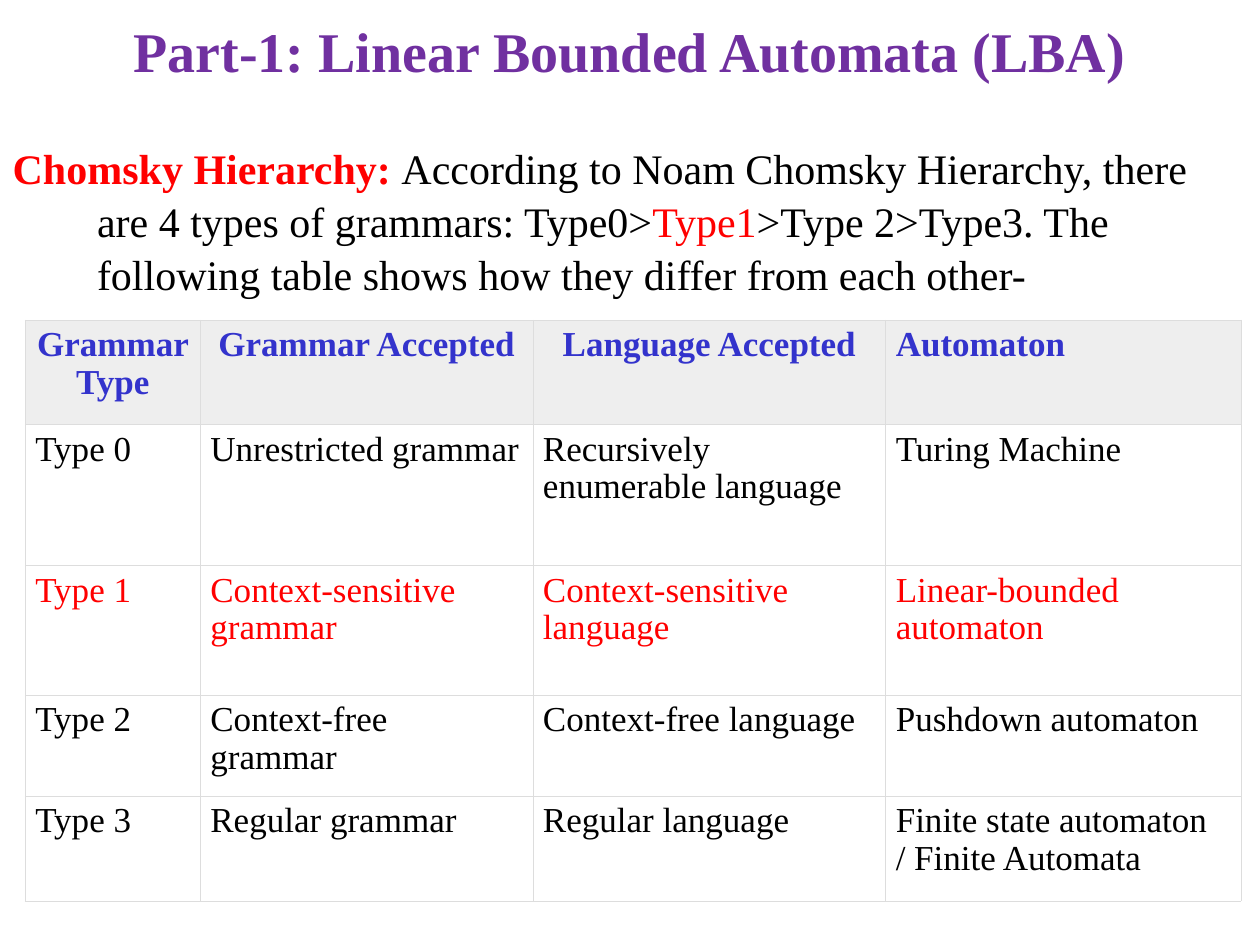
import lxml.etree
import pptx
import pptx.dml.color
import pptx.enum.text
import pptx.oxml.ns
import pptx.util

THEME = {
    "font": "Times New Roman",
    "title": "7030A0", "text": "000000", "accent": "FF0000", "header": "3333CC",
    "header_fill": "EEEEEE", "border": "DDDDDD",
    "title_size": 32, "body_size": 24, "table_size": 20, "border_width": 0.34,
}
ALIGN = pptx.enum.text.PP_ALIGN
Inches, Pt, qn = pptx.util.Inches, pptx.util.Pt, pptx.oxml.ns.qn


def style_font(font, size, color, bold=False):
    font.name = THEME["font"]
    font.size = Pt(THEME[size])
    font.bold = bold
    font.color.rgb = pptx.dml.color.RGBColor.from_string(THEME[color])


def add_borders(cell):
    properties = cell._tc.get_or_add_tcPr()
    for position, side in enumerate(("lnL", "lnR", "lnT", "lnB")):
        line = lxml.etree.Element(qn(f"a:{side}"), w=str(Pt(THEME["border_width"])))
        fill = lxml.etree.SubElement(line, qn("a:solidFill"))
        lxml.etree.SubElement(fill, qn("a:srgbClr"), val=THEME["border"])
        properties.insert(position, line)


presentation = pptx.Presentation()
presentation.slide_width, presentation.slide_height = Inches(10), Inches(7.5)
slide = presentation.slides.add_slide(presentation.slide_layouts[1])
title, body = slide.shapes.title, slide.placeholders[1]

# Title and body share the full slide width
for placeholder, top, height in ((title, 0, 0.87), (body, 1.06, 1.32)):
    placeholder.left, placeholder.width = 0, presentation.slide_width
    placeholder.top, placeholder.height = Inches(top), Inches(height)
    placeholder.text_frame.word_wrap = True
    placeholder.text_frame.auto_size = pptx.enum.text.MSO_AUTO_SIZE.NONE

# Title
title.text_frame.text = "Part-1: Linear Bounded Automata (LBA)"
paragraph = title.text_frame.paragraphs[0]
paragraph.alignment = ALIGN.CENTER
paragraph.line_spacing = 0.9
style_font(paragraph.runs[0].font, "title_size", "title", True)

# Introduction with a hanging indent
paragraph = body.text_frame.paragraphs[0]
paragraph.level = 1
paragraph.alignment = ALIGN.LEFT
paragraph.line_spacing = 1.05
paragraph.space_before = Pt(0)
properties = paragraph._p.get_or_add_pPr()
properties.set("marL", str(Inches(0.67)))
properties.set("indent", str(-Inches(0.67)))
lxml.etree.SubElement(properties, qn("a:buNone"))
for text, color, bold in (
    ("Chomsky Hierarchy: ", "accent", True),
    ("According to Noam Chomsky Hierarchy, there are 4 types of grammars: Type0>", "text", False),
    ("Type1", "accent", False),
    (">Type 2>Type3. The following table shows how they differ from each other-", "text", False),
):
    run = paragraph.add_run()
    run.text = text
    style_font(run.font, "body_size", color, bold)

# Grammar table
rows = (
    ("Grammar Type", "Grammar Accepted", "Language Accepted", "Automaton"),
    ("Type 0", "Unrestricted grammar", "Recursively enumerable language", "Turing Machine"),
    ("Type 1", "Context-sensitive grammar", "Context-sensitive language", "Linear-bounded automaton"),
    ("Type 2", "Context-free grammar", "Context-free language", "Pushdown automaton"),
    ("Type 3", "Regular grammar", "Regular language", "Finite state automaton\n/ Finite Automata"),
)
column_widths = (1.39, 2.64, 2.8, 2.82)
row_heights = (0.83, 1.12, 1.03, 0.8, 0.83)
highlighted_row = 2
table = slide.shapes.add_table(
    len(rows), len(column_widths), Inches(0.2), Inches(2.54),
    Inches(sum(column_widths)), Inches(sum(row_heights))).table
table.first_row = table.horz_banding = False
for column, width in zip(table.columns, column_widths):
    column.width = Inches(width)

for row_index, (texts, height) in enumerate(zip(rows, row_heights)):
    table.rows[row_index].height = Inches(height)
    is_header = row_index == 0
    color = "header" if is_header else "accent" if row_index == highlighted_row else "text"
    for column_index, text in enumerate(texts):
        cell = table.cell(row_index, column_index)
        cell.text_frame.text = text
        cell.margin_left = cell.margin_right = Inches(0.08)
        cell.margin_top = cell.margin_bottom = Inches(0.05)
        if is_header:
            cell.fill.solid()
            cell.fill.fore_color.rgb = pptx.dml.color.RGBColor.from_string(THEME["header_fill"])
        else:
            cell.fill.background()
        add_borders(cell)
        for paragraph in cell.text_frame.paragraphs:
            paragraph.line_spacing = 0.97
            if is_header:
                is_last = column_index == len(texts) - 1
                paragraph.alignment = ALIGN.JUSTIFY if is_last else ALIGN.CENTER
            for run in paragraph.runs:
                style_font(run.font, "table_size", color, is_header)

presentation.save("out.pptx")
